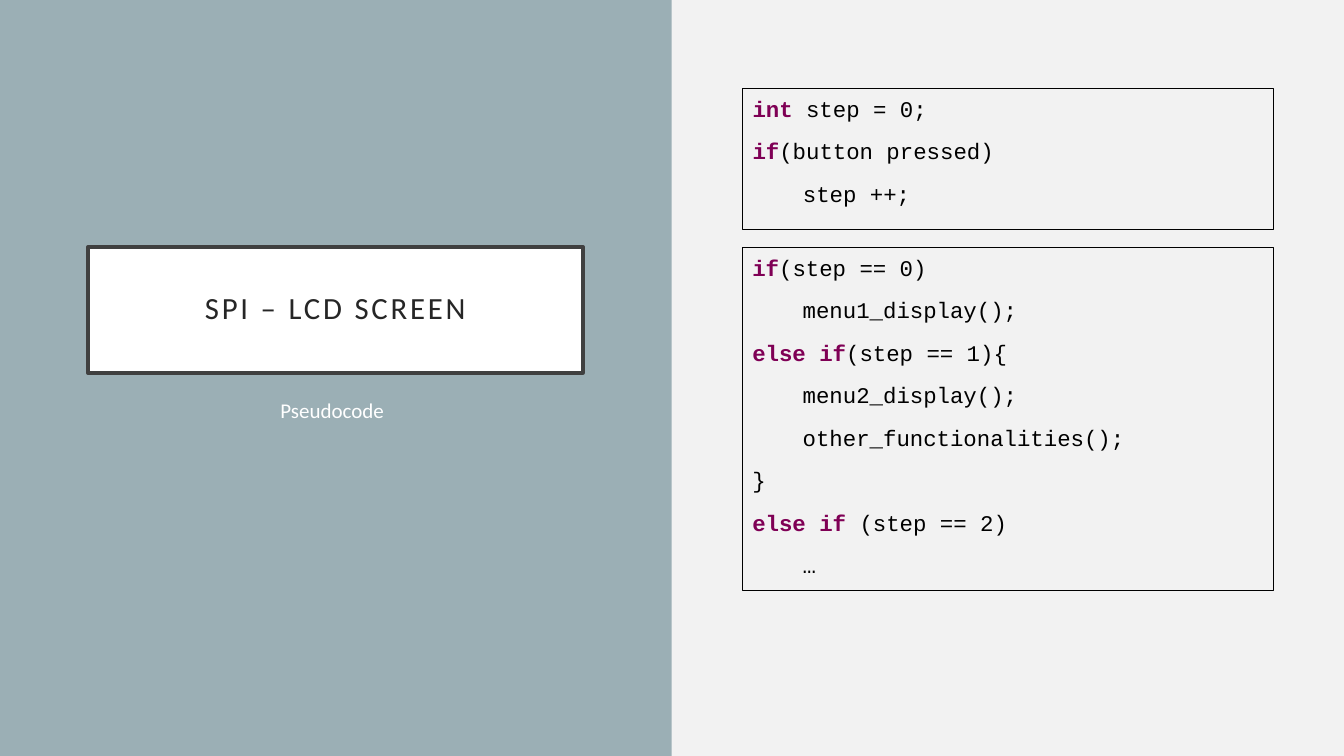
from lxml import etree
from pptx import Presentation
from pptx import util as u
from pptx.dml.color import RGBColor
from pptx.enum import shapes, text
from pptx.oxml.ns import qn

COLOURS = {
    "background": "F2F2F2", "panel": "9BAFB5", "title_fill": "FFFFFF",
    "title_line": "404040", "title": "262626", "subtitle": "FFFFFF",
    "keyword": "7F0055", "code": "000000",
}
STEP_CODE = [("int ", "step = 0;"), ("if", "(button pressed)"), ("", "\tstep ++;")]
MENU_CODE = [
    ("if", "(step == 0)"),
    ("", "\tmenu1_display();"),
    ("else if", "(step == 1){"),
    ("", "\tmenu2_display();"),
    ("", "\tother_functionalities();"),
    ("", "}"),
    ("else if ", "(step == 2)"),
    ("", "\t…"),
]


class PseudocodeSlide:
    body_font, code_font = "Calibri", "Courier New"
    code_size, line_spacing, space_before = 16, 1.06, 10

    def __init__(self, deck):
        self.slide = deck.slides.add_slide(deck.slide_layouts[3])
        self.fill(self.slide.background, "background")

    def colour(self, name):
        return RGBColor.from_string(COLOURS[name])

    def fill(self, target, name):
        target.fill.solid()
        target.fill.fore_color.rgb = self.colour(name)

    def outline(self, target, name, width):
        target.line.color.rgb = self.colour(name)
        target.line.width = u.Pt(width)

    def place(self, target, left, top, width, height):
        target.left, target.top = u.Cm(left), u.Cm(top)
        target.width, target.height = u.Cm(width), u.Cm(height)

    def panel(self, *box):
        panel = self.slide.shapes.add_shape(
            shapes.MSO_SHAPE.RECTANGLE, *map(u.Cm, box))
        panel.shadow.inherit = False
        self.fill(panel, "panel")
        panel.line.fill.background()
        panel.element.getparent().insert(2, panel.element)

    def prepare(self, target, anchor=text.MSO_ANCHOR.TOP):
        frame = target.text_frame
        frame.word_wrap = True
        frame.auto_size = text.MSO_AUTO_SIZE.NONE
        frame.vertical_anchor = anchor
        return frame

    def style(self, paragraph, font, size, align, spacing, before):
        paragraph.font.name, paragraph.font.size = font, u.Pt(size)
        paragraph.alignment = align
        paragraph.line_spacing = spacing
        paragraph.space_before = u.Pt(before)
        properties = paragraph._p.get_or_add_pPr()
        properties.set("marL", "0")
        properties.set("indent", "0")
        bullet = etree.Element(qn("a:buNone"))
        properties.find(qn("a:defRPr")).addprevious(bullet)

    def title(self, wording, *box):
        title = self.slide.shapes.title
        self.place(title, *box)
        self.fill(title, "title_fill")
        self.outline(title, "title_line", 2.5)
        frame = self.prepare(title, text.MSO_ANCHOR.MIDDLE)
        frame.margin_left = frame.margin_right = u.Cm(0.5)
        frame.margin_top = frame.margin_bottom = u.Cm(0.5)
        heading = frame.paragraphs[0]
        run = heading.add_run()
        run.text = wording
        self.style(heading, self.body_font, 22, text.PP_ALIGN.CENTER, 0.9, 0)
        heading.font.color.rgb = self.colour("title")
        run._r.get_or_add_rPr().set("spc", "200")

    def subtitle(self, wording, *box):
        subtitle = self.slide.placeholders[2]
        self.place(subtitle, *box)
        caption = self.prepare(subtitle).paragraphs[0]
        caption.text = wording
        self.style(caption, self.body_font, 15, text.PP_ALIGN.CENTER,
                   self.line_spacing, self.space_before)
        caption.font.color.rgb = self.colour("subtitle")

    def code(self, listing, lines, *box):
        self.place(listing, *box)
        self.outline(listing, "code", 0.75)
        frame = self.prepare(listing)
        for number, (keyword, rest) in enumerate(lines):
            line = frame.add_paragraph() if number else frame.paragraphs[0]
            self.style(line, self.code_font, self.code_size, text.PP_ALIGN.LEFT,
                       self.line_spacing, self.space_before)
            for part, role in ((keyword, "keyword"), (rest, "code")):
                if part:
                    run = line.add_run()
                    run.text = part
                    run.font.bold = role == "keyword"
                    run.font.color.rgb = self.colour(role)


deck = Presentation()
deck.slide_width, deck.slide_height = u.Cm(33.87), u.Cm(19.05)
page = PseudocodeSlide(deck)
page.panel(0, 0, 16.93, 19.05)
page.title("SPI – LCD SCREEN", 2.22, 6.22, 12.47, 3.18)
page.subtitle("Pseudocode", 3.1, 9.86, 10.54, 6.1)
page.code(page.slide.placeholders[1], STEP_CODE, 18.71, 2.23, 13.39, 3.56)
menu_listing = page.slide.shapes.add_textbox(0, 0, 0, 0)
page.code(menu_listing, MENU_CODE, 18.71, 6.24, 13.39, 8.64)
deck.save("out.pptx")
